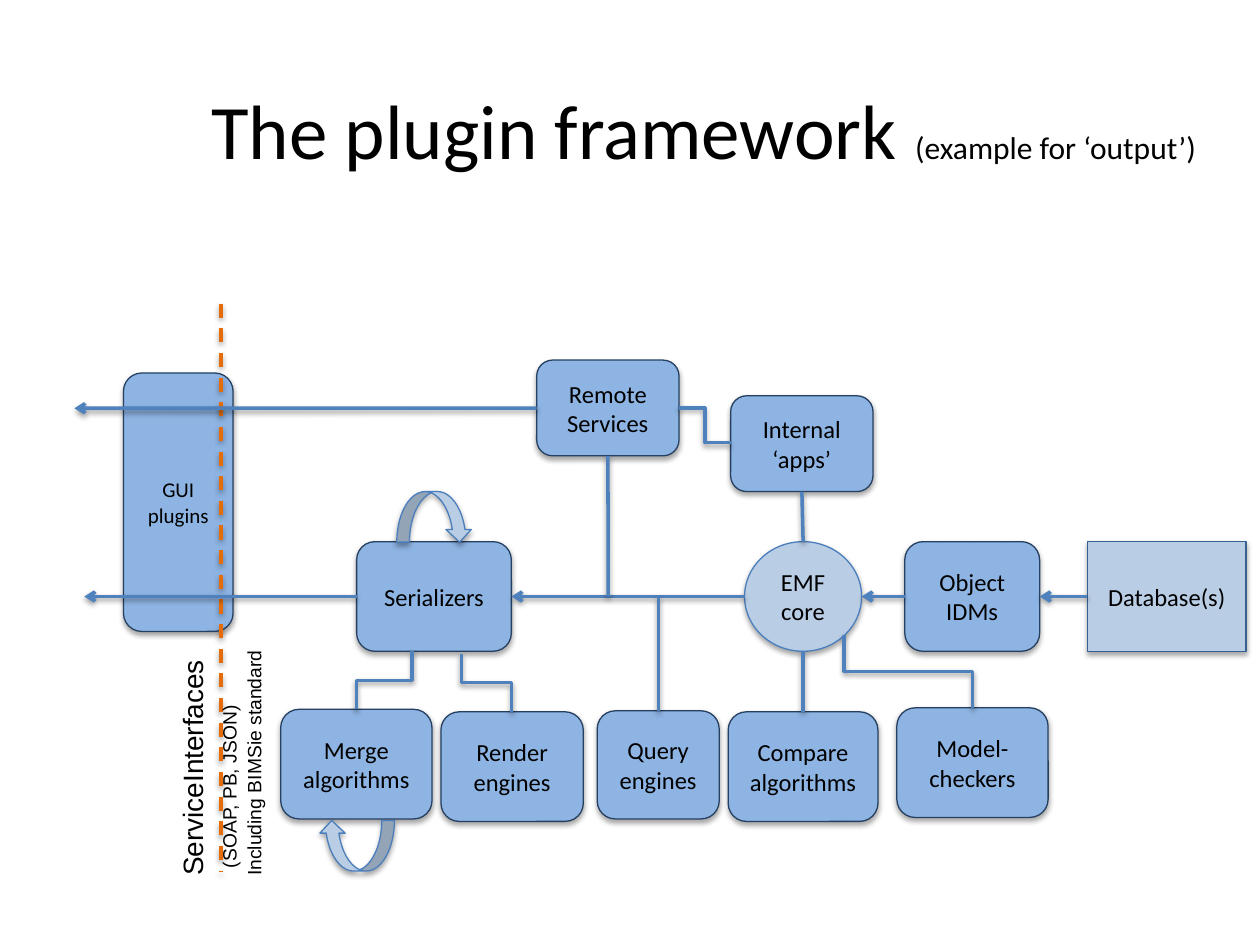
from dataclasses import dataclass

from lxml import etree
from pptx import Presentation
from pptx import util as u
from pptx.dml.color import RGBColor
from pptx.enum import dml, shapes, text
from pptx.oxml.ns import qn

Kind = shapes.MSO_SHAPE
TOP, LEFT, BOTTOM, RIGHT = range(4)


@dataclass(frozen=True)
class Theme:
    ink: str = "000000"
    plugin: str = "8EB4E3"
    plugin_edge: str = "254061"
    core: str = "B9CDE5"
    core_edge: str = "4B7EBC"
    store_edge: str = "376092"
    link: str = "4F81BD"
    boundary: str = "E46C0A"
    body: str = "Calibri"
    side: str = "Arial"
    title_size: int = 44
    subtitle_size: int = 18
    side_size: int = 16
    node_size: int = 14
    gui_size: int = 12
    detail_size: int = 11
    edge_width: float = 0.75
    link_width: float = 2


class Diagram:
    def __init__(self, slide, theme):
        self.slide = slide
        self.theme = theme

    def cast_shadow(self, effects, distance, opacity):
        shadow = etree.SubElement(effects, qn("a:outerShdw"), blurRad=str(u.Pt(3.1)),
                                  dist=str(u.Pt(distance)), dir="5400000", rotWithShape="0")
        black = etree.SubElement(shadow, qn("a:srgbClr"), val="000000")
        etree.SubElement(black, qn("a:alpha"), val=str(opacity * 1000))

    def fill_text(self, frame, paragraphs, font, align):
        """Fill a frame with paragraphs, each a list of (words, size) runs."""
        frame.word_wrap = True
        for index, runs in enumerate(paragraphs):
            paragraph = frame.add_paragraph() if index else frame.paragraphs[0]
            paragraph.alignment = align
            for words, size in runs:
                run = paragraph.add_run()
                run.text = words
                run.font.name = font
                run.font.size = u.Pt(size)
                run.font.color.rgb = RGBColor.from_string(self.theme.ink)

    def shape(self, kind, box, fill, edge):
        shape = self.slide.shapes.add_shape(kind, *map(u.Cm, box))
        shape.fill.solid()
        shape.fill.fore_color.rgb = RGBColor.from_string(fill)
        shape.line.color.rgb = RGBColor.from_string(edge)
        shape.line.width = u.Pt(self.theme.edge_width)
        shape.shadow.inherit = False
        self.cast_shadow(shape._element.spPr.find(qn("a:effectLst")), 1.8, 35)
        return shape

    def node(self, label, box, kind=Kind.ROUNDED_RECTANGLE, fill=None, edge=None, size=None):
        theme = self.theme
        node = self.shape(kind, box, fill or theme.plugin, edge or theme.plugin_edge)
        node.text_frame.vertical_anchor = text.MSO_ANCHOR.MIDDLE
        lines = [[(line, size or theme.node_size)] for line in label.split("\n")]
        self.fill_text(node.text_frame, lines, theme.body, text.PP_ALIGN.CENTER)
        return node

    def loop(self, box, rotation=0):
        arrow = self.shape(Kind.CURVED_DOWN_ARROW, box, self.theme.core, self.theme.core_edge)
        arrow.rotation = rotation

    def textbox(self, box, paragraphs, font, align, anchor, rotation=0):
        label = self.slide.shapes.add_textbox(*map(u.Cm, box))
        label.rotation = rotation
        label.text_frame.vertical_anchor = anchor
        self.fill_text(label.text_frame, paragraphs, font, align)

    def connector(self, kind, start, end, color=None, dash=None, arrow=False):
        link = self.slide.shapes.add_connector(kind, *map(u.Cm, (*start, *end)))
        link.line.color.rgb = RGBColor.from_string(color or self.theme.link)
        link.line.width = u.Pt(self.theme.link_width)
        if dash:
            link.line.dash_style = dash
        properties = link._element.spPr
        if arrow:
            etree.SubElement(properties.find(qn("a:ln")), qn("a:tailEnd"), type="arrow")
        self.cast_shadow(etree.SubElement(properties, qn("a:effectLst")), 1.6, 38)
        return link

    def line(self, start, end, source=None, target=None, **style):
        """Draw a straight line; source and target are (node, side) joints."""
        link = self.connector(shapes.MSO_CONNECTOR.STRAIGHT, start, end, **style)
        if source:
            link.begin_connect(*source)
        if target:
            link.end_connect(*target)

    def elbow(self, start, end):
        """Draw an elbow that leaves its start sideways."""
        return self.connector(shapes.MSO_CONNECTOR.ELBOW, start, end)

    def drop(self, upper, lower):
        """Draw an elbow that leaves its upper end downwards: a quarter-turned one."""
        (x1, y1), (x2, y2) = upper, lower
        middle_x, middle_y = (x1 + x2) / 2, (y1 + y2) / 2
        half_run, half_rise = (y2 - y1) / 2, abs(x2 - x1) / 2
        link = self.elbow((middle_x - half_run, middle_y - half_rise),
                          (middle_x + half_run, middle_y + half_rise))
        frame = link._element.spPr.find(qn("a:xfrm"))
        frame.set("rot", "5400000")
        if x2 > x1:
            frame.set("flipV", "1")


def main():
    deck = Presentation()
    deck.slide_width, deck.slide_height = u.Cm(25.4), u.Cm(19.05)
    theme = Theme()
    diagram = Diagram(deck.slides.add_slide(deck.slide_layouts[6]), theme)

    diagram.textbox((3.81, 1.27, 20.75, 2.67),
                    [[("The plugin framework ", theme.title_size),
                      ("(example for ‘output’)", theme.subtitle_size)]],
                    theme.body, text.PP_ALIGN.CENTER, text.MSO_ANCHOR.MIDDLE)

    row, height = 10.92, 2.21
    axis = row + height / 2
    diagram.node("GUI plugins", (2.49, 7.52, 2.21, 5.21), size=theme.gui_size)
    database = diagram.node("Database(s)", (21.92, row, 3.2, height), Kind.RECTANGLE,
                            theme.core, theme.store_edge)
    diagram.node("EMF\ncore", (15.01, row, 2.36, height), Kind.OVAL, theme.core, theme.core_edge)
    idms = diagram.node("Object\nIDMs", (18.24, row, 2.72, height))
    serializers = diagram.node("Serializers", (7.19, row, 3.12, height))
    diagram.node("Merge\nalgorithms", (5.66, 14.3, 3.05, height))
    diagram.node("Render engines", (8.89, 14.35, 2.87, height))
    query = diagram.node("Query engines", (12.04, 14.33, 2.46, 2.18))
    compare = diagram.node("Compare algorithms", (14.68, 14.35, 3.02, height))
    diagram.node("Model-checkers", (18.08, 14.27, 3.05, height))
    apps = diagram.node("Internal ‘apps’", (14.73, 7.98, 2.87, 1.93))
    remote = diagram.node("Remote Services", (10.82, 7.26, 2.87, 1.93))

    diagram.line((4.45, 6.12), (4.45, 17.58), color=theme.boundary,
                 dash=dml.MSO_LINE.DASH)

    core_left, core_x, core_right = 15.01, 16.19, 17.37
    diagram.line((21.92, axis), (20.96, axis), (database, LEFT), (idms, RIGHT), arrow=True)
    diagram.line((18.24, axis), (core_right, axis), (idms, LEFT), arrow=True)
    diagram.line((core_left, axis), (10.31, axis), target=(serializers, RIGHT), arrow=True)
    diagram.line((7.19, axis), (1.7, axis), (serializers, LEFT), arrow=True)
    diagram.line((10.82, 8.23), (1.5, 8.23), (remote, LEFT), arrow=True)
    diagram.line((12.26, 9.19), (12.26, axis), (remote, BOTTOM))
    diagram.line((13.27, axis), (13.27, 14.33), target=(query, TOP))
    diagram.line((core_x, row + height), (core_x, 14.35), target=(compare, TOP))
    diagram.line((core_x, 9.91), (core_x, row), (apps, BOTTOM))

    diagram.elbow((13.69, 8.23), (14.73, 8.92))
    diagram.drop((17.02, 12.8), (19.61, 14.27))
    diagram.drop((9.3, 13.18), (10.31, 14.35))
    diagram.drop((8.31, 13.13), (7.19, 14.3))

    diagram.loop((8, 9.91, 1.52, 1.02))
    diagram.loop((6.43, 16.54, 1.52, 1.02), rotation=180)

    diagram.textbox((-0.15, 12.27, 9.19, 2.08),
                    [[("ServiceInterfaces", theme.side_size)],
                     [(" ", theme.side_size), ("(SOAP, PB, JSON)", theme.detail_size)],
                     [("Including BIMSie standard", theme.detail_size)]],
                    theme.side, text.PP_ALIGN.LEFT, text.MSO_ANCHOR.TOP, rotation=270)

    deck.save("out.pptx")


if __name__ == "__main__":
    main()
